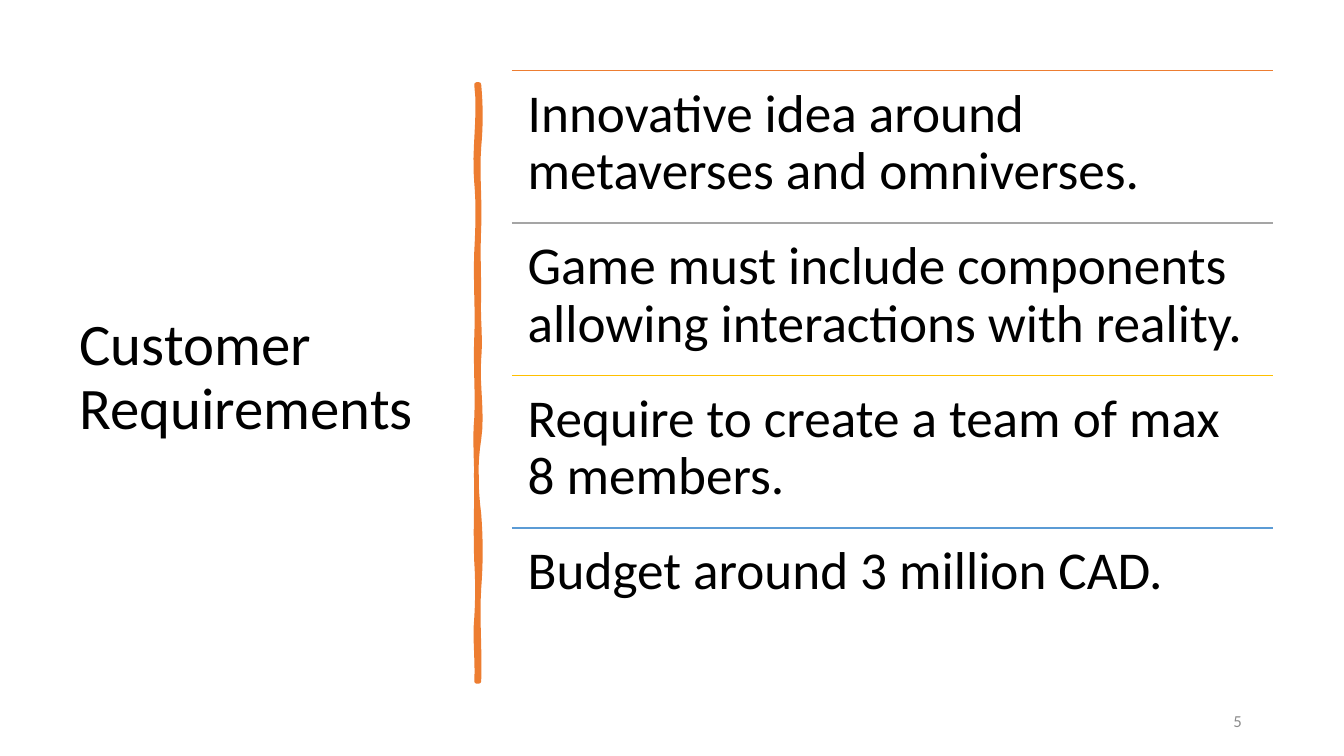
from lxml import etree
from pptx import Presentation
from pptx.dml.color import RGBColor
from pptx.enum.shapes import MSO_CONNECTOR
from pptx.enum.text import MSO_ANCHOR, MSO_AUTO_SIZE, PP_ALIGN
from pptx.oxml.ns import qn
from pptx.util import Cm, Pt

STRAIGHT = MSO_CONNECTOR.STRAIGHT
TOP, MIDDLE = MSO_ANCHOR.TOP, MSO_ANCHOR.MIDDLE
LEFT, RIGHT = PP_ALIGN.LEFT, PP_ALIGN.RIGHT
NO_AUTOFIT = MSO_AUTO_SIZE.NONE
TITLE_ONLY = 5

REQUIREMENTS = [
    ("Innovative idea around metaverses and omniverses.", "ED7D31"),
    ("Game must include components allowing interactions with reality.", "A5A5A5"),
    ("Require to create a team of max 8 members.", "FFC000"),
    ("Budget around 3 million CAD.", "5B9BD5"),
]
ROW_LEFT, ROW_TOP, ROW_WIDTH, ROW_HEIGHT = 12.9, 1.78, 19.18, 3.84

# Each edge of the brush stroke: x, first y, then (end y, two sideways pulls)
RIGHT_EDGE = (12.07, 2.13, [
    (3.71, 0.05, 0.05), (5.74, -0.05, 0.03), (7.47, -0.03, 0),
    (9.04, -0.03, 0.05), (11.07, -0.05, 0.1), (12.95, -0.1, -0.08),
    (14.83, 0.05, 0.05), (17.17, -0.05, 0.03)])
LEFT_EDGE = (12.01, 17.17, [
    (15.57, 0.03, -0.05), (14.15, 0.03, 0.03), (12.12, -0.03, 0),
    (10.54, 0, -0.05), (8.51, 0.03, -0.03), (6.35, 0.03, -0.03),
    (4.6, 0.03, 0.05), (2.13, -0.08, 0.1)])


def rgb(value):
    return RGBColor.from_string(value)


def wavy_edge(x, y, waves, steps=8):
    """Return points along a chain of cubic curves whose ends share one x."""
    points = [(Cm(x), Cm(y))]
    for end, pull1, pull2 in waves:
        for i in range(1, steps + 1):
            t = i / steps
            dx = 3 * t * (1 - t) * ((1 - t) * pull1 + t * pull2)
            points.append((Cm(x + dx), Cm(y + t * (end - y))))
        y = end
    return points


class SlideBuilder:
    font = "Calibri"
    ink = "000000"

    def __init__(self, prs):
        self.slide = prs.slides.add_slide(prs.slide_layouts[TITLE_ONLY])

    def fill_text(self, sp, text, size, color, align=LEFT, anchor=TOP, spacing=1.0):
        tf = sp.text_frame
        tf.word_wrap = True
        tf.auto_size = NO_AUTOFIT
        tf.vertical_anchor = anchor
        p = tf.paragraphs[0]
        p.alignment = align
        p.line_spacing = spacing
        r = p.add_run()
        r.text = text
        r.font.name = self.font
        r.font.size = Pt(size)
        r.font.color.rgb = rgb(color)

    def title(self, text, left, top, width, height):
        sp = self.slide.shapes.title
        sp.left, sp.top, sp.width, sp.height = map(Cm, (left, top, width, height))
        self.fill_text(sp, text, 42, self.ink, anchor=MIDDLE, spacing=0.9)

    def text(self, text, left, top, width, height, size, color=ink,
             inset=None, **layout):
        sp = self.slide.shapes.add_textbox(*map(Cm, (left, top, width, height)))
        if inset is not None:
            tf = sp.text_frame
            tf.margin_left = tf.margin_right = Cm(inset)
            tf.margin_top = tf.margin_bottom = Cm(inset)
        self.fill_text(sp, text, size, color, **layout)

    def rule(self, left, top, width, color):
        line = self.slide.shapes.add_connector(
            STRAIGHT, Cm(left), Cm(top), Cm(left + width), Cm(top))
        line.line.color.rgb = rgb(color)
        line.line.width = Pt(1)
        etree.SubElement(line._element.spPr, qn("a:effectLst"))

    def brush_stroke(self, color):
        points = wavy_edge(*RIGHT_EDGE) + wavy_edge(*LEFT_EDGE)
        builder = self.slide.shapes.build_freeform(*points[0])
        builder.add_line_segments(points[1:], close=True)
        sp = builder.convert_to_shape()
        sp.shadow.inherit = False
        sp.fill.solid()
        sp.fill.fore_color.rgb = rgb(color)
        sp.line.color.rgb = rgb(color)
        sp.line.width = Pt(3.25)


def main():
    prs = Presentation()
    prs.slide_width, prs.slide_height = Cm(33.87), Cm(19.05)
    s = SlideBuilder(prs)
    s.title("Customer Requirements", 1.75, 1.78, 9.5, 15.52)
    s.brush_stroke("ED7D31")
    for i, (requirement, color) in enumerate(REQUIREMENTS):
        top = ROW_TOP + i * ROW_HEIGHT
        s.rule(ROW_LEFT, top, ROW_WIDTH, color)
        s.text(requirement, ROW_LEFT, top, ROW_WIDTH, ROW_HEIGHT, 38,
               inset=0.4, spacing=0.9)
    s.text("5", 23.93, 17.65, 7.62, 1.02, 12, "8C8C8C", align=RIGHT, anchor=MIDDLE)
    prs.save("out.pptx")


if __name__ == "__main__":
    main()
